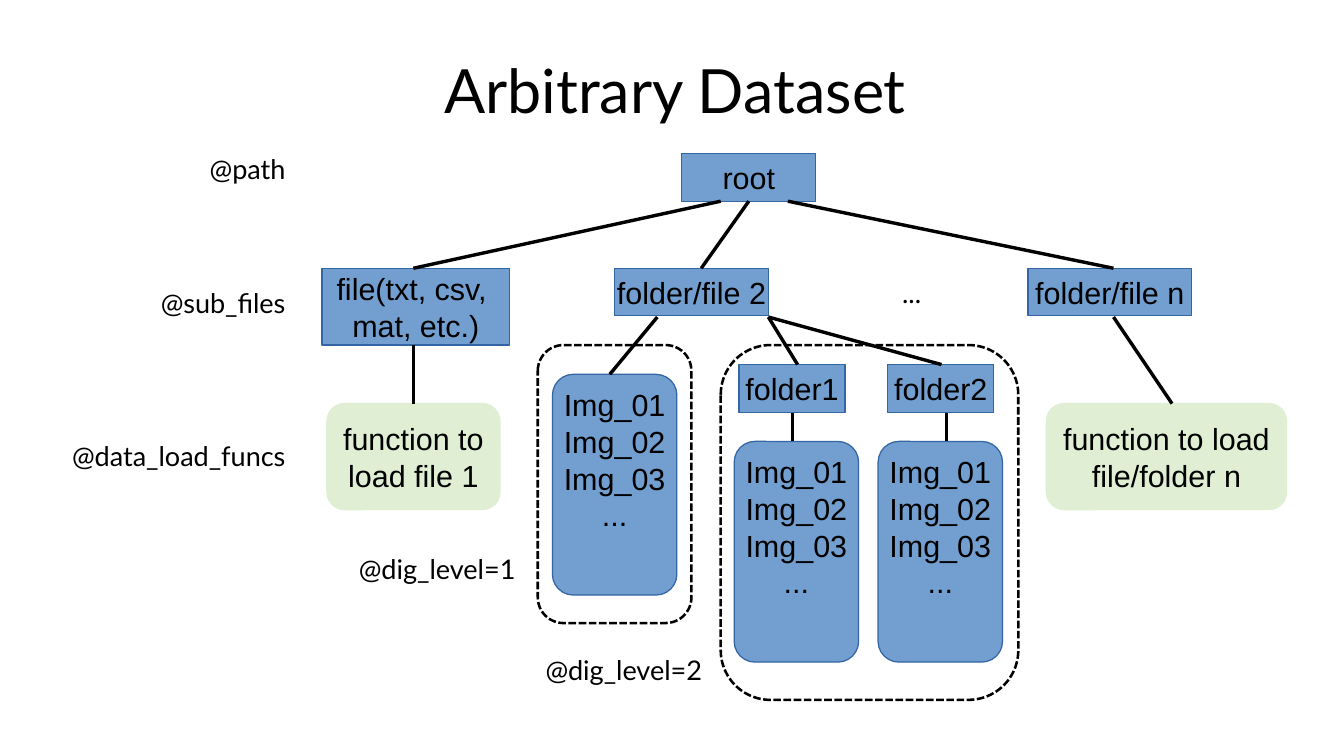
from lxml import etree
from pptx import Presentation
from pptx.dml.color import RGBColor
from pptx.enum.dml import MSO_LINE
from pptx.enum.shapes import MSO_CONNECTOR, MSO_SHAPE
from pptx.enum.text import MSO_ANCHOR as Anchor, PP_ALIGN as Align
from pptx.oxml.ns import qn
from pptx.util import Inches, Pt

BLACK = RGBColor(0x00, 0x00, 0x00)
BLUE = RGBColor(0x72, 0x9F, 0xCF)
BLUE_EDGE = RGBColor(0x34, 0x65, 0xA4)
GREEN = RGBColor(0xE0, 0xEF, 0xD4)
CORNER = 0.167
NODE_HEIGHT = 0.39
IMAGES = "Img_01\nImg_02\nImg_03\n..."


def write_text(frame, text, size=18, font="Arial", align=Align.CENTER,
               anchor=Anchor.MIDDLE, wrap=True):
    """Fill a text frame, one paragraph for each line of text."""
    frame.word_wrap = wrap
    frame.vertical_anchor = anchor
    frame.text = text
    for paragraph in frame.paragraphs:
        paragraph.alignment = align
        paragraph.font.size = Pt(size)
        paragraph.font.name = font
        paragraph.font.color.rgb = BLACK


class TreeSlide:
    """Holds the slide and the style of the tree drawn on it."""

    def __init__(self, presentation):
        self.slide = presentation.slides.add_slide(presentation.slide_layouts[6])
        self.shapes = self.slide.shapes

    def label(self, text, left, top, width, height, size=16, **text_format):
        box = self.shapes.add_textbox(*map(Inches, (left, top, width, height)))
        write_text(box.text_frame, text, size=size, font="Lato", **text_format)

    def box(self, left, top, width, height, kind=MSO_SHAPE.RECTANGLE):
        shape = self.shapes.add_shape(kind, *map(Inches, (left, top, width, height)))
        shape.shadow.inherit = False
        if kind == MSO_SHAPE.ROUNDED_RECTANGLE:
            shape.adjustments[0] = CORNER
        return shape

    def node(self, text, left, top, width, height=NODE_HEIGHT, fill=BLUE,
             edge=BLUE_EDGE, kind=MSO_SHAPE.RECTANGLE, anchor=Anchor.MIDDLE):
        shape = self.box(left, top, width, height, kind)
        shape.fill.solid()
        shape.fill.fore_color.rgb = fill
        shape.line.color.rgb = edge
        shape.line.width = Pt(0)
        write_text(shape.text_frame, text, anchor=anchor, wrap=False)

    def load_function(self, text, left, width):
        self.node(text, left, 3.31, width, 0.87, GREEN, GREEN,
                  MSO_SHAPE.ROUNDED_RECTANGLE)

    def image_list(self, left, top):
        self.node(IMAGES, left, top, 1.02, 1.81,
                  kind=MSO_SHAPE.ROUNDED_RECTANGLE, anchor=Anchor.TOP)

    def dashed_group(self, left, top, width, height):
        shape = self.box(left, top, width, height, MSO_SHAPE.ROUNDED_RECTANGLE)
        shape.fill.background()
        shape.line.color.rgb = BLACK
        shape.line.width = Pt(1.5)
        shape.line.dash_style = MSO_LINE.SQUARE_DOT

    def branch(self, *ends):
        line = self.shapes.add_connector(MSO_CONNECTOR.STRAIGHT, *map(Inches, ends))
        line.line.color.rgb = BLACK
        line.line.width = Pt(0)
        etree.SubElement(line._element.spPr, qn("a:effectLst"))


def main():
    presentation = Presentation()
    presentation.slide_width = Inches(11.02)
    presentation.slide_height = Inches(6.2)
    tree = TreeSlide(presentation)

    tree.label("Arbitrary Dataset", 0.44, 0.38, 10.19, 0.78, size=36,
               anchor=Anchor.TOP)
    for text, left, top, width, height in (
            ("@path", 0.31, 1.1, 2.13, 0.56),
            ("@sub_files", 0.31, 2.2, 2.13, 0.56),
            ("@data_load_funcs", 0.16, 3.43, 2.28, 0.61)):
        tree.label(text, left, top, width, height, align=Align.RIGHT)
    tree.label("...", 7.24, 2.12, 0.47, 0.56)

    tree.node("root", 5.59, 1.26, 1.1)
    tree.node("file(txt, csv, \nmat, etc.)", 2.64, 2.2, 1.54, 0.63)
    tree.node("folder/file 2", 5.04, 2.2, 1.26)
    tree.node("folder/file n", 8.43, 2.2, 1.34)
    tree.load_function("function to\nload file 1", 2.68, 1.42)
    tree.load_function("function to load\nfile/folder n", 8.58, 1.97)

    tree.image_list(4.53, 3.07)
    tree.dashed_group(4.41, 2.83, 1.26, 2.28)
    tree.label("@dig_level=1", 2.68, 4.41, 1.81, 0.51)

    for name, folder_left, list_left in (("folder1", 6.06, 6.02),
                                         ("folder2", 7.28, 7.2)):
        tree.node(name, folder_left, 2.99, 0.87)
        tree.image_list(list_left, 3.62)
    tree.dashed_group(5.91, 2.83, 2.44, 2.91)
    tree.label("@dig_level=2", 4.21, 5.24, 1.81, 0.51)

    for ends in (
            (5.91, 1.65, 3.39, 2.2),
            (6.14, 1.65, 5.75, 2.2),
            (6.46, 1.65, 9.13, 2.2),
            (3.39, 2.83, 3.39, 3.31),
            (5.39, 2.6, 5, 3.07),
            (6.3, 2.6, 6.54, 2.99),
            (6.3, 2.6, 7.72, 2.99),
            (6.5, 3.39, 6.5, 3.62),
            (7.76, 3.39, 7.76, 3.62),
            (9.13, 2.6, 9.61, 3.31)):
        tree.branch(*ends)

    presentation.save("out.pptx")


if __name__ == "__main__":
    main()
